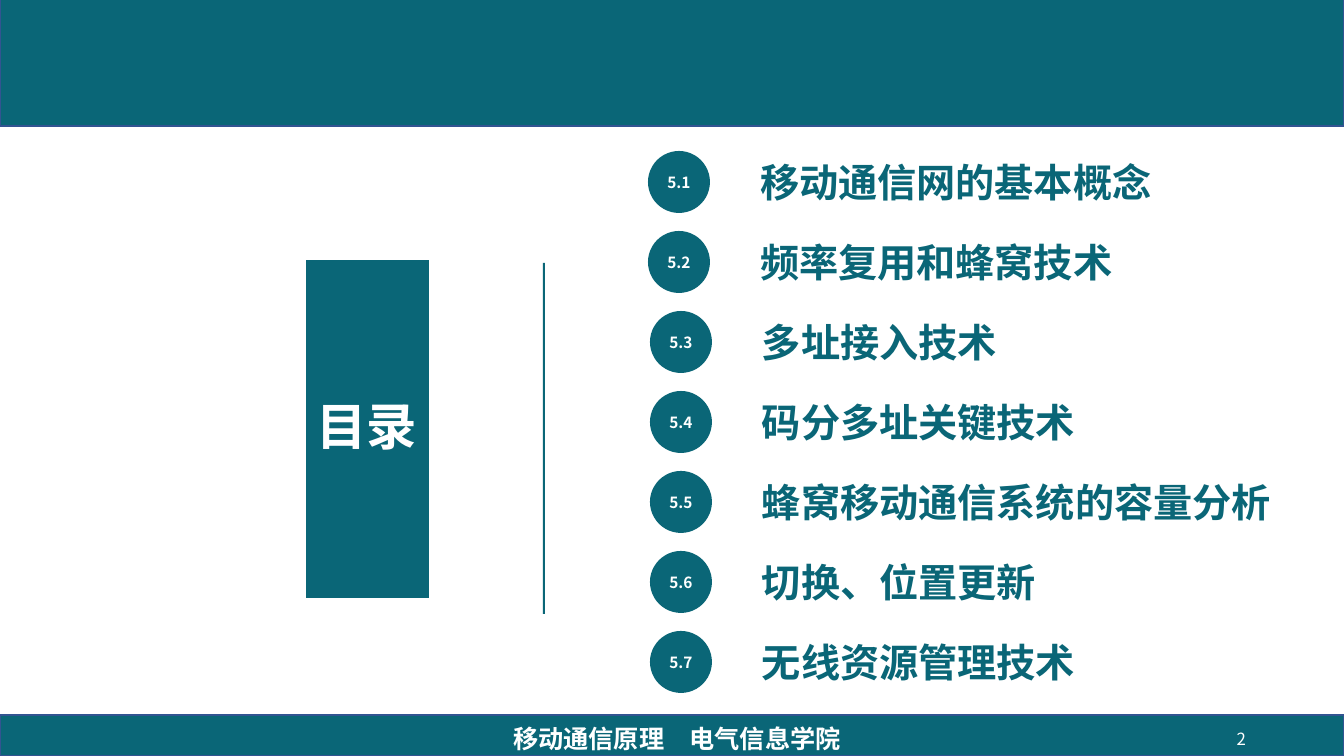
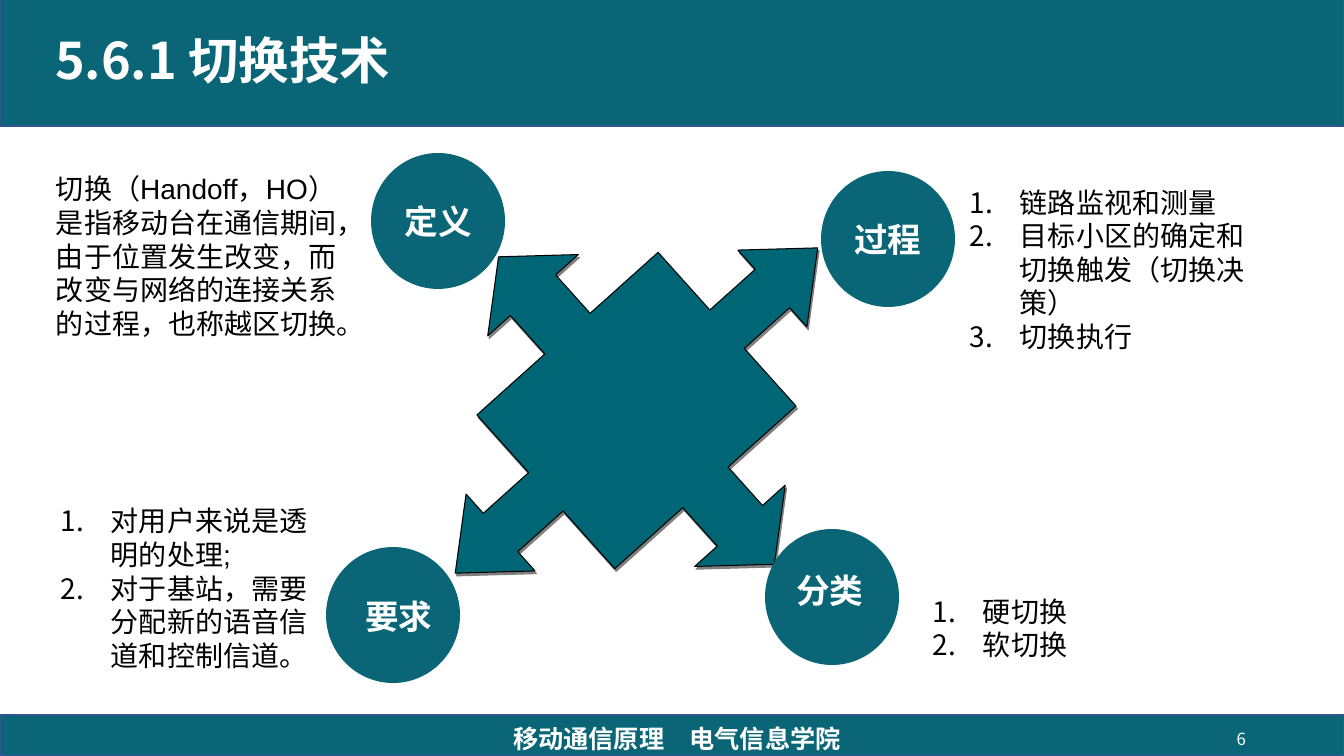
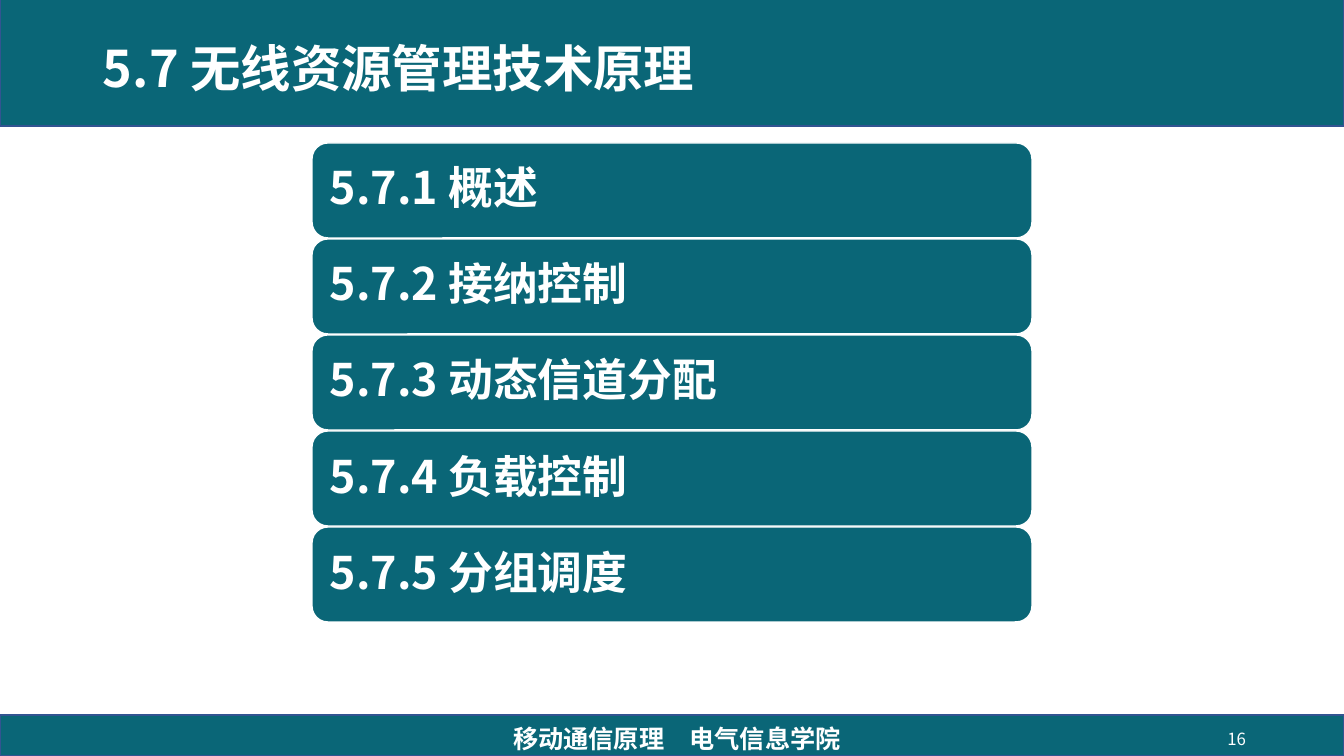
import math
from dataclasses import dataclass
from typing import Optional

import pptx
import pptx.dml.color
import pptx.enum.shapes
import pptx.enum.text
import pptx.oxml.ns
import pptx.util
from lxml import etree

RGBColor = pptx.dml.color.RGBColor
SHAPE = pptx.enum.shapes.MSO_SHAPE
ALIGN = pptx.enum.text.PP_ALIGN
ANCHOR = pptx.enum.text.MSO_ANCHOR
qn = pptx.oxml.ns.qn

EMU_PER_PX = 914400 / 100.8
SLIDE_WIDTH, SLIDE_HEIGHT = 1344, 756

TEAL = RGBColor(0x0A, 0x66, 0x77)
ARROW_TEAL = RGBColor(0x00, 0x66, 0x76)
BAND_EDGE = RGBColor(0x32, 0x54, 0x91)
WHITE = RGBColor(0xFF, 0xFF, 0xFF)
BLACK = RGBColor(0x00, 0x00, 0x00)

CJK_FONT = "Noto Sans CJK SC"
LATIN_FONT = "Arial"
FOOTER = "移动通信原理　电气信息学院"


@dataclass(frozen=True)
class Box:
    left: int
    top: int
    width: int
    height: int


@dataclass(frozen=True)
class TextStyle:
    size: int
    color: RGBColor = WHITE
    bold: bool = True
    font: str = CJK_FONT
    align: ALIGN = ALIGN.LEFT
    anchor: ANCHOR = ANCHOR.MIDDLE
    line_spacing: Optional[float] = None
    inset: int = 10
    numbered: bool = False


@dataclass(frozen=True)
class Topic:
    name: str
    circle: Box
    note: Box
    points: tuple[str, ...]
    numbered: bool = True
    label: Optional[Box] = None


TITLE = TextStyle(36, line_spacing=0.9)
FOOTER_STYLE = TextStyle(18, align=ALIGN.CENTER)
PAGE_NUMBER = TextStyle(12, bold=False, align=ALIGN.RIGHT)
CONTENTS_NUMBER = TextStyle(11, align=ALIGN.CENTER, inset=0)
CONTENTS_ENTRY = TextStyle(28, TEAL)
SECTION = TextStyle(32, line_spacing=0.9, inset=13)
TOPIC_NAME = TextStyle(24, font=LATIN_FONT, align=ALIGN.CENTER, inset=0)
NOTE = TextStyle(20, BLACK, False, LATIN_FONT, anchor=ANCHOR.TOP,
                 line_spacing=pptx.util.Pt(24))
NUMBERED_NOTE = TextStyle(20, BLACK, False, LATIN_FONT, anchor=ANCHOR.TOP,
                          line_spacing=pptx.util.Pt(24), numbered=True)

CONTENTS = (
    "移动通信网的基本概念",
    "频率复用和蜂窝技术",
    "多址接入技术",
    "码分多址关键技术",
    "蜂窝移动通信系统的容量分析",
    "切换、位置更新",
    "无线资源管理技术",
)
SECTIONS = ("概述", "接纳控制", "动态信道分配", "负载控制", "分组调度")
TOPICS = (
    Topic("定义", Box(371, 153, 134, 136), Box(46, 167, 320, 180),
          ("切换（Handoff，HO）是指移动台在通信期间，由于位置发生改变，"
           "而改变与网络的连接关系的过程，也称越区切换。",), numbered=False),
    Topic("过程", Box(821, 171, 134, 136), Box(960, 180, 303, 248),
          ("链路监视和测量", "目标小区的确定和切换触发（切换决策）", "切换执行")),
    Topic("要求", Box(326, 547, 134, 136), Box(51, 499, 280, 200),
          ("对用户来说是透明的处理;", "对于基站，需要分配新的语音信道和控制信道。"),
          label=Box(358, 571, 82, 91)),
    Topic("分类", Box(765, 529, 134, 136), Box(923, 589, 156, 78),
          ("硬切换", "软切换"), label=Box(789, 545, 82, 91)),
)


def px(length: float) -> int:
    return round(length * EMU_PER_PX)


def place(box: Box) -> tuple[int, int, int, int]:
    return px(box.left), px(box.top), px(box.width), px(box.height)


def number_paragraph(paragraph) -> None:
    properties = paragraph._p.get_or_add_pPr()
    properties.set("marL", str(px(50)))
    properties.set("indent", str(-px(50)))
    etree.SubElement(properties, qn("a:buFont"), typeface=CJK_FONT)
    etree.SubElement(properties, qn("a:buAutoNum"), type="arabicPeriod")


def write(shape, text: str, style: TextStyle) -> None:
    """Fill a shape with text, one paragraph a line."""
    frame = shape.text_frame
    frame.text = text
    frame.word_wrap = True
    frame.vertical_anchor = style.anchor
    frame.margin_left = frame.margin_right = px(style.inset)
    frame.margin_top = frame.margin_bottom = px(min(style.inset, 5))
    for paragraph in frame.paragraphs:
        paragraph.alignment = style.align
        if style.line_spacing is not None:
            paragraph.line_spacing = style.line_spacing
        if style.numbered:
            number_paragraph(paragraph)
        for run in paragraph.runs:
            run.font.size = pptx.util.Pt(style.size)
            run.font.bold = style.bold
            run.font.color.rgb = style.color
            run.font.name = style.font
            etree.SubElement(run._r.get_or_add_rPr(), qn("a:ea"), typeface=CJK_FONT)


def paint(shape, fill: RGBColor, line: Optional[RGBColor], width: float = 1) -> None:
    shape.shadow.inherit = False
    shape.fill.solid()
    shape.fill.fore_color.rgb = fill
    if line is None:
        shape.line.fill.background()
    else:
        shape.line.color.rgb = line
        shape.line.width = pptx.util.Pt(width)


def add_text(slide, box: Box, text: str, style: TextStyle) -> None:
    write(slide.shapes.add_textbox(*place(box)), text, style)


def add_teal_shape(slide, kind: SHAPE, box: Box, line: Optional[RGBColor] = None,
                   text: str = "", style: TextStyle = TITLE) -> None:
    shape = slide.shapes.add_shape(kind, *place(box))
    paint(shape, TEAL, line)
    if text:
        write(shape, text, style)


def add_framed_slide(presentation, page: int):
    """Add a blank slide with both bands, the footer and the page number."""
    slide = presentation.slides.add_slide(presentation.slide_layouts[6])
    for band in (Box(0, -1, SLIDE_WIDTH, 127), Box(0, 715, SLIDE_WIDTH, 41)):
        add_teal_shape(slide, SHAPE.RECTANGLE, band, BAND_EDGE)
    add_text(slide, Box(954, 719, 302, 40), str(page), PAGE_NUMBER)
    add_text(slide, Box(450, 718, 454, 40), FOOTER, FOOTER_STYLE)
    return slide


def add_drop_shadow(shape) -> None:
    effects = shape._element.spPr.find(qn("a:effectLst"))
    shadow = etree.SubElement(effects, qn("a:outerShdw"), dist=str(pptx.util.Pt(2.2)),
                              dir=str(63 * 60000), algn="ctr", rotWithShape="0")
    color = etree.SubElement(shadow, qn("a:srgbClr"), val=str(BLACK))
    etree.SubElement(color, qn("a:alpha"), val="50000")


def add_four_way_arrow(slide, box: Box, rotation: float) -> None:
    """Draw a block with an arrow on each side, one arm turned four times."""
    arm = ((0.5, -0.5), (0.5, -0.125), (0.75, -0.125), (0.75, -0.25),
           (1, 0), (0.75, 0.25), (0.75, 0.125), (0.5, 0.125))
    half_width, half_height = box.width / 2, box.height / 2
    points = []
    for quarter in range(4):
        cosine = math.cos(quarter * math.pi / 2)
        sine = math.sin(quarter * math.pi / 2)
        for x, y in arm:
            points.append((
                px(box.left + half_width * (1 + x * cosine - y * sine)),
                px(box.top + half_height * (1 + x * sine + y * cosine)),
            ))
    builder = slide.shapes.build_freeform(*points[0])
    builder.add_line_segments(points[1:], close=True)
    arrow = builder.convert_to_shape()
    arrow.rotation = rotation
    paint(arrow, ARROW_TEAL, BLACK, 0.75)
    add_drop_shadow(arrow)


def add_topic(slide, topic: Topic) -> None:
    circle_text = "" if topic.label else topic.name
    add_teal_shape(slide, SHAPE.OVAL, topic.circle, None, circle_text, TOPIC_NAME)
    if topic.label:
        add_teal_shape(slide, SHAPE.RECTANGLE, topic.label, None, topic.name, TOPIC_NAME)
    add_text(slide, topic.note, "\n".join(topic.points),
             NUMBERED_NOTE if topic.numbered else NOTE)


def build_contents(presentation) -> None:
    slide = add_framed_slide(presentation, 2)
    add_teal_shape(slide, SHAPE.RECTANGLE, Box(306, 260, 123, 338), None, "目录", TITLE)
    add_teal_shape(slide, SHAPE.RECTANGLE, Box(543, 263, 2, 351))
    for index, entry in enumerate(CONTENTS):
        left = 648 if index < 2 else 650
        top = 151 + 80 * index
        add_teal_shape(slide, SHAPE.OVAL, Box(left, top, 62, 62), None,
                       f"5.{index + 1}", CONTENTS_NUMBER)
        add_text(slide, Box(left + 102, top, 560, 62), entry, CONTENTS_ENTRY)


def build_handoff(presentation) -> None:
    slide = add_framed_slide(presentation, 6)
    add_text(slide, Box(45, -10, 1159, 146), "5.6.1 切换技术", TITLE)
    add_four_way_arrow(slide, Box(393, 204, 487, 413), 318.1)
    for topic in TOPICS:
        add_topic(slide, topic)


def build_resource_management(presentation) -> None:
    slide = add_framed_slide(presentation, 16)
    add_text(slide, Box(93, 0, 664, 143), "5.7 无线资源管理技术原理", TITLE)
    for index, section in enumerate(SECTIONS):
        add_teal_shape(slide, SHAPE.ROUNDED_RECTANGLE, Box(312, 143 + 96 * index, 720, 95),
                       WHITE, f"5.7.{index + 1} {section}", SECTION)


def main() -> None:
    presentation = pptx.Presentation()
    presentation.slide_width = px(SLIDE_WIDTH)
    presentation.slide_height = px(SLIDE_HEIGHT)
    build_contents(presentation)
    build_handoff(presentation)
    build_resource_management(presentation)
    presentation.save("out.pptx")


if __name__ == "__main__":
    main()
